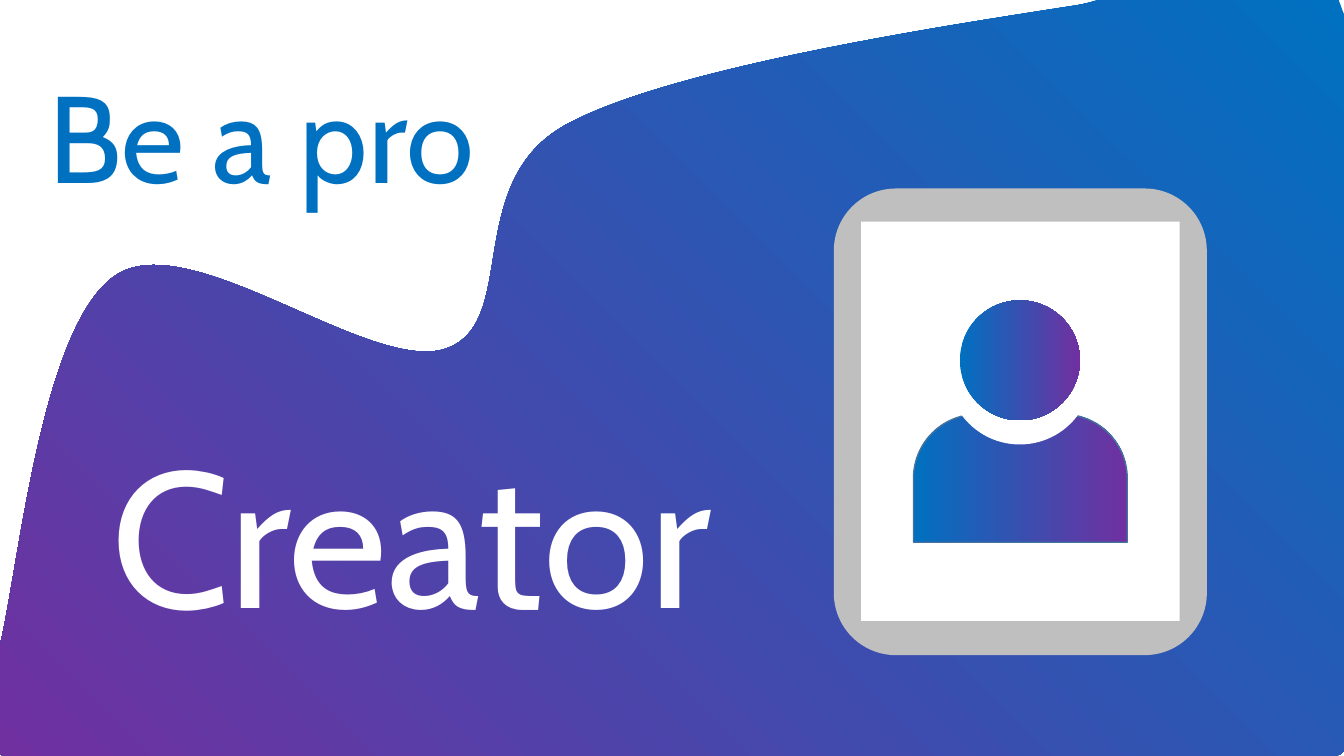
from dataclasses import dataclass

from pptx import Presentation
from pptx.dml.color import RGBColor
from pptx.enum.shapes import MSO_SHAPE
from pptx.enum.text import MSO_AUTO_SIZE
from pptx.oxml.ns import qn
from pptx.util import Inches, Pt

RECTANGLE = MSO_SHAPE.RECTANGLE
ROUNDED = MSO_SHAPE.ROUNDED_RECTANGLE
ROUND_TOP = MSO_SHAPE.ROUND_2_SAME_RECTANGLE
OVAL = MSO_SHAPE.OVAL
FIT_TEXT = MSO_AUTO_SIZE.SHAPE_TO_FIT_TEXT


@dataclass(frozen=True)
class Theme:
    blue: RGBColor = RGBColor(0x00, 0x70, 0xC0)
    purple: RGBColor = RGBColor(0x70, 0x30, 0xA0)
    outline: RGBColor = RGBColor(0x43, 0x73, 0x9E)
    frame: RGBColor = RGBColor(0xBF, 0xBF, 0xBF)
    white: RGBColor = RGBColor(0xFF, 0xFF, 0xFF)
    font: str = "Cabin"
    title_size: int = 138
    lead_size: int = 88


THEME = Theme()
WIDTH, HEIGHT = 13.33, 7.5
DIAGONAL = 225  # counter-clockwise: from top right to bottom left
ACROSS = 0

# Outline of the wave, clockwise: one point is a line, three points are a curve
WAVE_START = (10.91, 0)
WAVE_SEGMENTS = [
    [(13.28, 0)],
    [(13.28, 0.01)],
    [(13.3, 0.05), (13.31, 0.1), (13.33, 0.14)],
    [(13.33, 0.15)],
    [(13.33, 7.45)],
    [(13.3, 7.48)],
    [(13.25, 7.5)],
    [(0.1, 7.5)],
    [(0.01, 7.49)],
    [(0, 7.49)],
    [(0, 6.4)],
    [(0.19, 5.61), (0.41, 3.22), (1.15, 2.73)],
    [(1.89, 2.24), (3.67, 3.71), (4.42, 3.46)],
    [(5.16, 3.21), (4.58, 1.81), (5.61, 1.24)],
    [(6.65, 0.67), (9.35, 0.26), (10.63, 0.06)],
    [(10.71, 0.05), (10.79, 0.03), (10.86, 0.01)],
]


def paint(fill, color=None, angle=None):
    """Fill with one colour, or with the blue-purple gradient at an angle."""
    if angle is None:
        fill.solid()
        fill.fore_color.rgb = color
        return
    fill.gradient()
    fill.gradient_angle = angle
    for stop, position, shade in zip(fill.gradient_stops, (0, 1), (THEME.blue, THEME.purple)):
        stop.position = position
        stop.color.rgb = shade


def finish(shape, color=None, angle=None):
    shape.shadow.inherit = False
    shape.line.fill.background()
    paint(shape.fill, color, angle)


def add_block(shapes, kind, box, color=None, angle=None):
    block = shapes.add_shape(kind, *map(Inches, box))
    finish(block, color, angle)
    return block


def bend(shape, segments):
    """Turn each run of three lines that stands for a curve into a cubic curve."""
    lines = iter(list(shape.element.iter(qn("a:lnTo"))))
    for segment in segments:
        first, *others = [next(lines) for _ in segment]
        if others:
            curve = first.makeelement(qn("a:cubicBezTo"), {})
            first.addprevious(curve)
            for line in (first, *others):
                curve.append(line[0])
                line.getparent().remove(line)


def add_wave(shapes):
    points = [(Inches(x), Inches(y)) for segment in WAVE_SEGMENTS for x, y in segment]
    builder = shapes.build_freeform(*map(Inches, WAVE_START))
    builder.add_line_segments(points, close=True)
    wave = builder.convert_to_shape()
    bend(wave, WAVE_SEGMENTS)
    finish(wave, angle=DIAGONAL)


def add_person(shapes):
    person = shapes.add_group_shape().shapes
    body = add_block(person, ROUND_TOP, (9.06, 4.11, 2.12, 1.27), angle=ACROSS)
    body.adjustments[0] = 0.5
    body.line.color.rgb = THEME.outline
    body.line.width = Pt(1)
    add_block(person, OVAL, (9.4, 2.98, 1.43, 1.43), THEME.white)
    add_block(person, OVAL, (9.52, 2.98, 1.19, 1.19), angle=ACROSS)


def add_words(shapes, words, box, size, color=None, angle=None):
    frame = shapes.add_textbox(*map(Inches, box)).text_frame
    frame.word_wrap = False
    frame.auto_size = FIT_TEXT
    frame.text = words
    font = frame.paragraphs[0].runs[0].font
    font.name = THEME.font
    font.size = Pt(size)
    paint(font.fill, color, angle)


def main():
    deck = Presentation()
    deck.slide_width, deck.slide_height = Inches(WIDTH), Inches(HEIGHT)
    shapes = deck.slides.add_slide(deck.slide_layouts[6]).shapes

    # Backdrop
    add_wave(shapes)

    # Tablet with the person on its screen
    add_block(shapes, ROUNDED, (8.27, 1.87, 3.7, 4.63), THEME.frame)
    add_block(shapes, RECTANGLE, (8.54, 2.2, 3.16, 3.96), THEME.white)
    add_person(shapes)

    # Headline
    add_words(shapes, "Creator", (1.01, 4.07, 6.82, 2.42), THEME.title_size, THEME.white)
    add_words(shapes, "Be a pro", (0.38, 0.55, 4.62, 1.58), THEME.lead_size, angle=DIAGONAL)

    deck.save("out.pptx")


if __name__ == "__main__":
    main()
